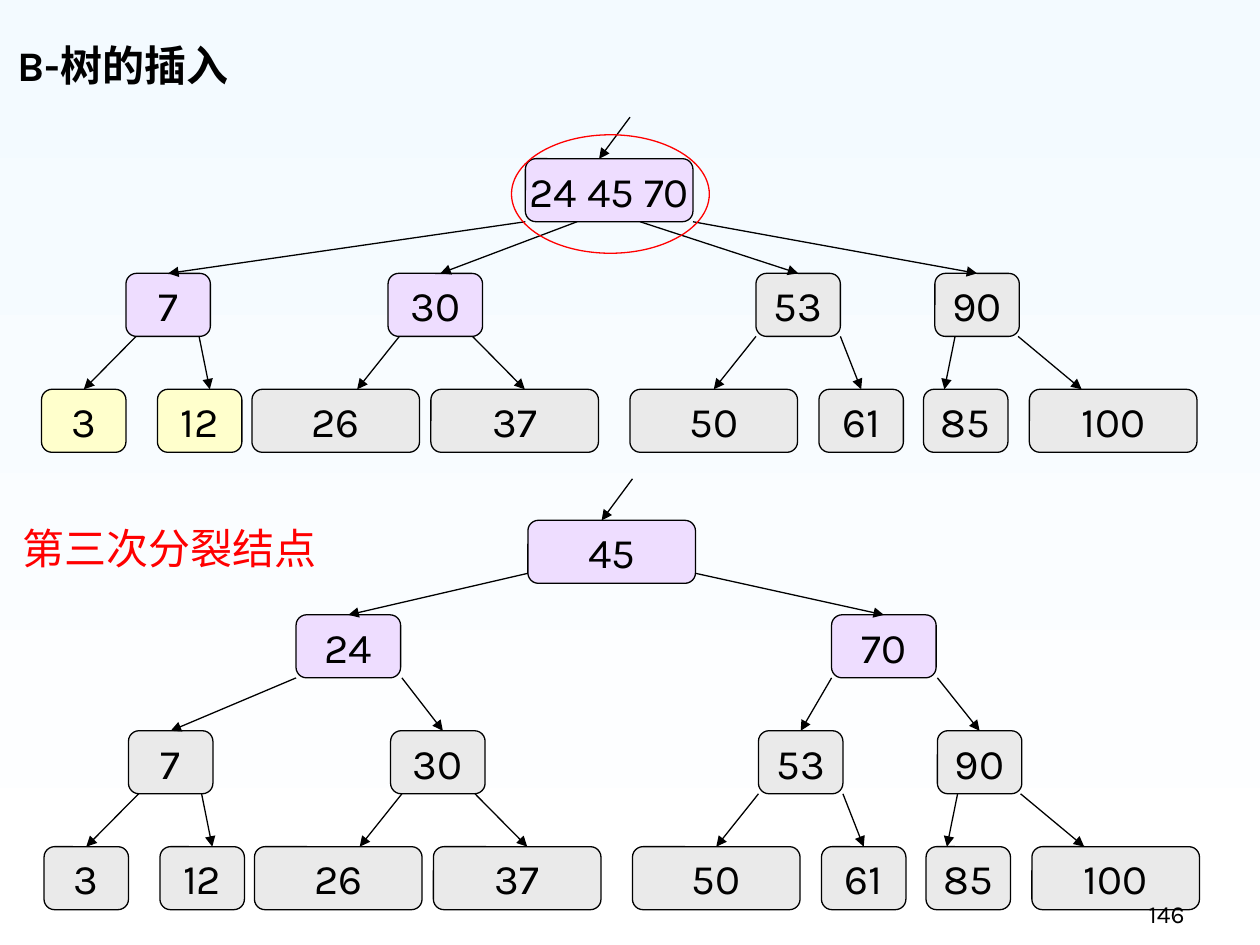
from lxml import etree
from pptx import Presentation
from pptx.dml.color import RGBColor
from pptx.enum.shapes import MSO_CONNECTOR, MSO_SHAPE
from pptx.enum.text import MSO_ANCHOR, PP_ALIGN
from pptx.oxml.ns import qn
from pptx.util import Inches, Pt

ROUNDED, OVAL = MSO_SHAPE.ROUNDED_RECTANGLE, MSO_SHAPE.OVAL
STRAIGHT = MSO_CONNECTOR.STRAIGHT
MIDDLE, BOTTOM, TOP = MSO_ANCHOR.MIDDLE, MSO_ANCHOR.BOTTOM, MSO_ANCHOR.TOP
LEFT, CENTER, RIGHT = PP_ALIGN.LEFT, PP_ALIGN.CENTER, PP_ALIGN.RIGHT
PURPLE, YELLOW, GREY = "EEDDFF", "FFFFCC", "EAEAEA"
BLACK, RED = "000000", "FF0000"
NARROW, WIDE, NODE_H, LEVEL = 0.67, 1.33, 0.5, 0.92

# label, left, width, arrow offset from centre, leaves with the arrow start added
SUBTREES = [
    ("7", 1, NARROW, 0, [("3", 0.33, NARROW, 0, 1.08), ("12", 1.25, NARROW, 0.08, 1.58)]),
    ("30", 3.08, 0.75, 0.04, [("26", 2, WIDE, 0.17, 3.17), ("37", 3.42, WIDE, 0.08, 3.75)]),
    ("53", 6, NARROW, 0, [("50", 5, WIDE, 0, 6), ("61", 6.5, NARROW, 0, 6.67)]),
    ("90", 7.42, NARROW, 0, [("85", 7.33, NARROW, -0.17, 7.58), ("100", 8.17, WIDE, -0.25, 8.08)]),
]


def rgb(value):
    """Turn a hex string into a colour."""
    return RGBColor.from_string(value)


def write(shape, text, anchor, align, size=24, color=BLACK, **extra):
    """Put one formatted paragraph into a shape and return it."""
    tf = shape.text_frame
    tf.vertical_anchor = anchor
    p = tf.paragraphs[0]
    p.alignment = align
    r = p.add_run()
    r.text = text
    r.font.color.rgb = rgb(color)
    for name, value in {"name": "Karla", "size": Pt(size), **extra}.items():
        setattr(r.font, name, value)
    return p


def outline(line, color=BLACK):
    """Draw a thin solid line."""
    line.color.rgb = rgb(color)
    line.width = Pt(0.75)


def add_node(group, label, left, top, width, fill):
    """Add one rounded tree node with its keys."""
    s = group.shapes.add_shape(ROUNDED, *map(Inches, (left, top, width, NODE_H)))
    s.shadow.inherit = False
    s.fill.solid()
    s.fill.fore_color.rgb = rgb(fill)
    outline(s.line)
    s.text_frame.word_wrap = False
    write(s, label, MIDDLE, CENTER)
    return s


def add_arrow(group, x, y, child, shift=0):
    """Point from a position to the top of a node, joined when centred."""
    end_x = child.left + child.width // 2 + Inches(shift)
    c = group.shapes.add_connector(STRAIGHT, Inches(x), Inches(y), end_x, child.top)
    if not shift:
        c.end_connect(child, 0)
    outline(c.line)
    etree.SubElement(c.line._get_or_add_ln(), qn("a:tailEnd"), type="triangle")
    etree.SubElement(c._element.spPr, qn("a:effectLst"))


def add_subtrees(group, left, top, starts, start_y, fills):
    """Add the two lowest levels with the arrows leading into them."""
    for (label, x, w, shift, leaves), start in zip(SUBTREES, starts):
        parent = add_node(group, label, left + x, top, w, fills.get(label, GREY))
        add_arrow(group, left + start, start_y, parent, shift)
        for leaf, leaf_x, leaf_w, leaf_shift, leaf_start in leaves:
            child = add_node(group, leaf, left + leaf_x, top + LEVEL, leaf_w,
                             fills.get(leaf, GREY))
            add_arrow(group, left + leaf_start, top + NODE_H, child, leaf_shift)


def add_root(group, label, left, top):
    """Add the root node and the arrow that enters it."""
    root = add_node(group, label, left + 4.17, top + 0.33, WIDE, PURPLE)
    add_arrow(group, left + 5, top, root, -0.08)


def add_tree_before(slide, left, top):
    """Add the tree whose root is overfull, with the root circled."""
    group = slide.shapes.add_group_shape()
    add_root(group, "24 45 70", left, top)
    fills = {"7": PURPLE, "30": PURPLE, "3": YELLOW, "12": YELLOW}
    add_subtrees(group, left, top + 1.24, (4.17, 4.58, 5.08, 5.5), top + 0.83, fills)
    ring = slide.shapes.add_shape(OVAL, *map(Inches, (left + 4.06, top + 0.14, 1.57, 0.94)))
    ring.shadow.inherit = False
    ring.fill.background()
    outline(ring.line, RED)


def add_tree_after(slide, left, top):
    """Add the tree after its root has been split."""
    group = slide.shapes.add_group_shape()
    add_root(group, "45", left, top)
    for label, x, start in (("24", 2.33, 4.17), ("70", 6.58, 5.5)):
        half = add_node(group, label, left + x, top + 1.08, 0.83, PURPLE)
        add_arrow(group, left + start, top + 0.75, half)
    add_subtrees(group, left, top + 2, (2.33, 3.17, 6.58, 7.42), top + 1.58, {})


def place(shape, left, top, width, height):
    """Move a placeholder to a box."""
    for name, value in zip(("left", "top", "width", "height"), (left, top, width, height)):
        setattr(shape, name, Inches(value))


def add_texts(slide):
    """Fill the title, the caption and the page number."""
    title, body = slide.shapes.title, slide.placeholders[1]
    place(title, 0.04, 0.05, 8.52, 0.71)
    write(title, "B-树的插入", BOTTOM, LEFT, bold=True)
    place(body, 0.08, 4.14, 3.33, 0.42)
    p = write(body, "第三次分裂结点", TOP, LEFT, color=RED)
    p.line_spacing = 0.9
    p.space_before = Pt(0)
    pPr = p._p.get_or_add_pPr()
    pPr.set("marL", str(Inches(0.38)))
    pPr.set("indent", str(-Inches(0.38)))
    etree.SubElement(pPr, qn("a:buNone"))
    number = slide.shapes.add_textbox(*map(Inches, (7.42, 6.92, 2.08, 0.5)))
    number.text_frame.word_wrap = True
    write(number, "146", BOTTOM, RIGHT, size=14)


def set_background(slide):
    """Shade the slide from pale blue down to white."""
    fill = slide.background.fill
    fill.gradient()
    fill.gradient_angle = 270
    for stop, color in zip(fill.gradient_stops, ("F3FAFF", "FFFFFF")):
        stop.color.rgb = rgb(color)


def main():
    """Build and save the slide."""
    prs = Presentation()
    prs.slide_width, prs.slide_height = Inches(10), Inches(7.5)
    slide = prs.slides.add_slide(prs.slide_layouts[1])
    set_background(slide)
    add_tree_before(slide, 0, 0.93)
    add_tree_after(slide, 0.02, 3.8)
    add_texts(slide)
    prs.save("out.pptx")


if __name__ == "__main__":
    main()
